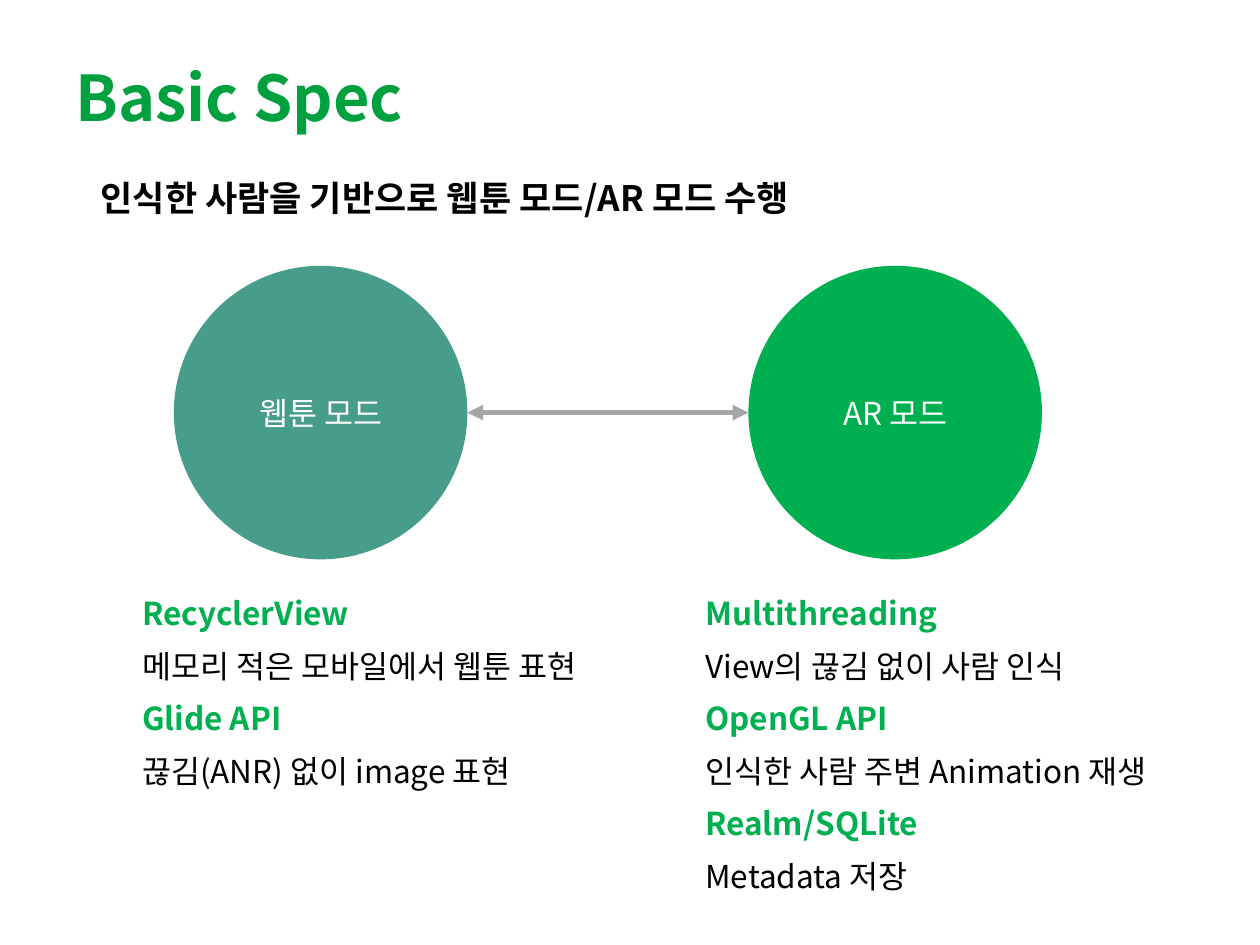
import pptx
import pptx.util
import pptx.dml.color
import pptx.enum.shapes
import pptx.enum.text
import pptx.oxml.ns
import lxml.etree

Inches = pptx.util.Inches
Pt = pptx.util.Pt
qn = pptx.oxml.ns.qn

FONT = "Noto Sans CJK KR"
COLORS = {
    "title": "00A03E",
    "text": "000000",
    "webtoon": "479D8A",
    "green": "00B050",
    "white": "FFFFFF",
    "arrow": "A6A6A6",
}
DIAMETER = 2.33
CIRCLE_TOP = 2.11
DETAILS_TOP = 4.55
MODES = [
    {
        "name": "웹툰 모드",
        "color": "webtoon",
        "circle_left": 1.38,
        "details_box": (1.03, DETAILS_TOP, 4.11, 1.78),
        "details": [
            ("RecyclerView", "메모리 적은 모바일에서 웹툰 표현"),
            ("Glide API", "끊김(ANR) 없이 image 표현"),
        ],
    },
    {
        "name": "AR 모드",
        "color": "green",
        "circle_left": 5.94,
        "details_box": (5.5, DETAILS_TOP, 3.97, 2.63),
        "details": [
            ("Multithreading", "View의 끊김 없이 사람 인식"),
            ("OpenGL API", "인식한 사람 주변 Animation 재생"),
            ("Realm/SQLite", "Metadata 저장"),
        ],
    },
]


def rgb(name):
    return pptx.dml.color.RGBColor.from_string(COLORS[name])


def write_para(para, text, size, color, bold=False, spacing=None):
    para.text = text
    para.font.size = Pt(size)
    para.font.bold = bold
    para.font.color.rgb = rgb(color)
    para.font.name = FONT
    properties = para._p.pPr.find(qn("a:defRPr"))
    lxml.etree.SubElement(properties, qn("a:ea"), typeface=FONT)
    if spacing:
        para.line_spacing = Pt(spacing)


def add_text_frame(page, box):
    frame = page.shapes.add_textbox(*map(Inches, box)).text_frame
    frame.word_wrap = True
    return frame


def add_title(page, box):
    frame = add_text_frame(page, box)
    frame.vertical_anchor = pptx.enum.text.MSO_ANCHOR.BOTTOM
    write_para(frame.paragraphs[0], "Basic Spec", 36, "title", bold=True)


def add_subtitle(page, box):
    frame = add_text_frame(page, box)
    frame.auto_size = pptx.enum.text.MSO_AUTO_SIZE.SHAPE_TO_FIT_TEXT
    write_para(frame.paragraphs[0], "인식한 사람을 기반으로 웹툰 모드/AR 모드 수행",
               20, "text", bold=True, spacing=35)


def add_mode_circle(page, box, name, color):
    circle = page.shapes.add_shape(pptx.enum.shapes.MSO_SHAPE.OVAL, *map(Inches, box))
    circle.shadow.inherit = False
    circle.fill.solid()
    circle.fill.fore_color.rgb = rgb(color)
    circle.line.fill.background()
    frame = circle.text_frame
    frame.vertical_anchor = pptx.enum.text.MSO_ANCHOR.MIDDLE
    para = frame.paragraphs[0]
    para.alignment = pptx.enum.text.PP_ALIGN.CENTER
    write_para(para, name, 18, "white")


def add_details(page, box, details):
    frame = add_text_frame(page, box)
    frame.auto_size = pptx.enum.text.MSO_AUTO_SIZE.SHAPE_TO_FIT_TEXT
    for index, (heading, description) in enumerate(details):
        para = frame.add_paragraph() if index else frame.paragraphs[0]
        write_para(para, heading, 18, "green", bold=True, spacing=30)
        write_para(frame.add_paragraph(), description, 18, "text", spacing=30)


def add_double_arrow(page, left, right, middle):
    arrow = page.shapes.add_connector(
        pptx.enum.shapes.MSO_CONNECTOR.STRAIGHT,
        Inches(left), Inches(middle), Inches(right), Inches(middle))
    arrow.line.color.rgb = rgb("arrow")
    arrow.line.width = Pt(3)
    outline = arrow.line._get_or_add_ln()
    for end in ("a:headEnd", "a:tailEnd"):
        lxml.etree.SubElement(outline, qn(end), type="triangle")
    lxml.etree.SubElement(arrow._element.spPr, qn("a:effectLst"))


def build_spec_page(deck):
    page = deck.slides.add_slide(deck.slide_layouts[6])
    add_subtitle(page, (0.7, 1.2, 9.09, 0.54))
    add_title(page, (0.5, 0.4, 9, 0.71))
    for mode in MODES:
        circle_box = (mode["circle_left"], CIRCLE_TOP, DIAMETER, DIAMETER)
        add_mode_circle(page, circle_box, mode["name"], mode["color"])
        add_details(page, mode["details_box"], mode["details"])
    webtoon, ar = MODES
    add_double_arrow(page, webtoon["circle_left"] + DIAMETER, ar["circle_left"],
                     CIRCLE_TOP + DIAMETER / 2)


def main():
    deck = pptx.Presentation()
    deck.slide_width = Inches(10)
    deck.slide_height = Inches(7.5)
    build_spec_page(deck)
    deck.save("out.pptx")


if __name__ == "__main__":
    main()
